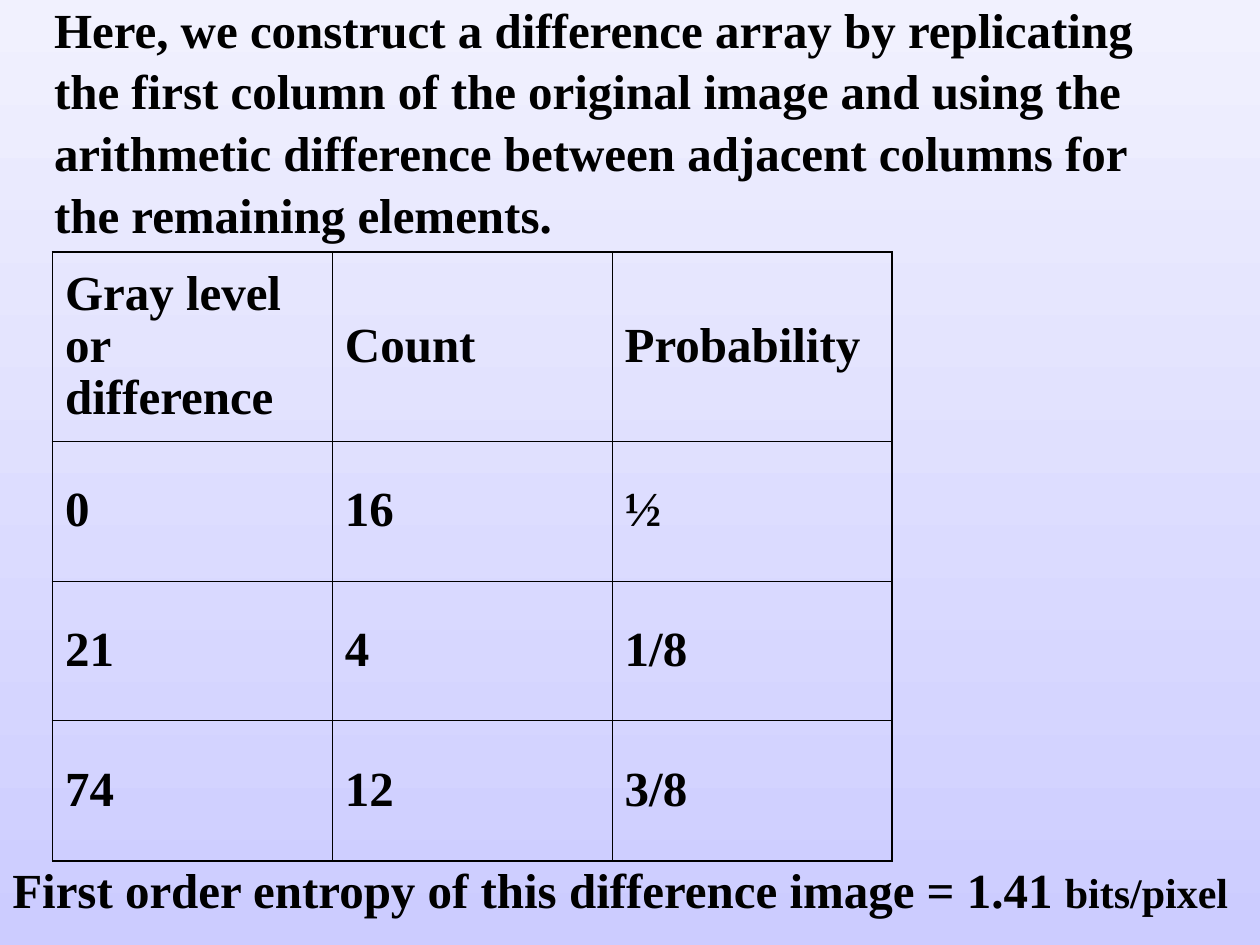
from dataclasses import dataclass

from lxml.etree import SubElement
from pptx import Presentation
from pptx.dml.color import RGBColor as RGB
from pptx.enum.text import MSO_ANCHOR as Anchor, MSO_AUTO_SIZE as AutoSize
from pptx.oxml.ns import qn
from pptx.util import Cm, Pt


@dataclass(frozen=True)
class Theme:
    font: str = "Times New Roman"
    ink: str = "000000"
    sky_top: str = "F1F1FE"
    sky_bottom: str = "CCCCFF"
    body: int = 28
    unit: int = 24
    outer_line: float = 1.08
    inner_line: float = 0.45
    text_spacing: float = 1.05
    table_spacing: float = 0.96


THEME = Theme()

INTRO = [(
    "Here, we construct a difference array by replicating the first column of "
    "the original image and using the arithmetic difference between adjacent "
    "columns for the remaining elements.", THEME.body)]
ENTROPY = [
    ("First order entropy of this difference image = 1.41 ", THEME.body),
    ("bits/pixel", THEME.unit)]
DISTRIBUTION = [
    ("Gray level or difference", "Count", "Probability"),
    ("0", "16", "½"),
    ("21", "4", "1/8"),
    ("74", "12", "3/8"),
]

# left, top, width, height in cm
INTRO_BOX = (0.84, -0.2, 22.86, 5)
ENTROPY_BOX = (0, 17.15, 25.4, 1.45)
TABLE_LEFT, TABLE_TOP = 1.06, 5.08
COLUMN_WIDTH, HEADER_HEIGHT, ROW_HEIGHT = 5.64, 3.81, 2.82


def write_runs(paragraph, runs, spacing):
    paragraph.line_spacing = spacing
    for words, size in runs:
        run = paragraph.add_run()
        run.text = words
        run.font.name = THEME.font
        run.font.size = Pt(size)
        run.font.bold = True
        run.font.color.rgb = RGB.from_string(THEME.ink)


def add_statement(slide, box, runs):
    frame = slide.shapes.add_textbox(*map(Cm, box)).text_frame
    frame.word_wrap = True
    frame.auto_size = AutoSize.SHAPE_TO_FIT_TEXT
    write_runs(frame.paragraphs[0], runs, THEME.text_spacing)


def draw_borders(cell, outer_sides):
    """Rule all four sides, heavier where the side is on the table's edge."""
    properties = cell._tc.get_or_add_tcPr()
    for side, is_outer in outer_sides.items():
        width = THEME.outer_line if is_outer else THEME.inner_line
        line = SubElement(properties, qn(f"a:ln{side}"), w=str(int(Pt(width))))
        fill = SubElement(line, qn("a:solidFill"))
        SubElement(fill, qn("a:srgbClr"), val=THEME.ink)


def add_distribution(slide):
    row_count, column_count = len(DISTRIBUTION), len(DISTRIBUTION[0])
    heights = [HEADER_HEIGHT] + [ROW_HEIGHT] * (row_count - 1)
    table = slide.shapes.add_table(
        row_count, column_count, Cm(TABLE_LEFT), Cm(TABLE_TOP),
        Cm(COLUMN_WIDTH * column_count), Cm(sum(heights))).table
    table.first_row = table.horz_banding = False
    for column in table.columns:
        column.width = Cm(COLUMN_WIDTH)
    for r, (values, height) in enumerate(zip(DISTRIBUTION, heights)):
        table.rows[r].height = Cm(height)
        for c, value in enumerate(values):
            cell = table.cell(r, c)
            cell.vertical_anchor = Anchor.MIDDLE
            draw_borders(cell, {"L": c == 0, "R": c == column_count - 1,
                                "T": r == 0, "B": r == row_count - 1})
            cell.fill.background()
            write_runs(cell.text_frame.paragraphs[0],
                       [(value, THEME.body)], THEME.table_spacing)


def paint_background(slide):
    fill = slide.background.fill
    fill.gradient()
    fill.gradient_angle = 270
    for stop, color, position in zip(
            fill.gradient_stops, (THEME.sky_top, THEME.sky_bottom), (0, 1)):
        stop.color.rgb = RGB.from_string(color)
        stop.position = position


def main():
    deck = Presentation()
    deck.slide_width, deck.slide_height = Cm(25.4), Cm(19.05)
    blank = deck.slide_layouts.get_by_name("Blank")
    slide = deck.slides.add_slide(blank)
    paint_background(slide)
    add_statement(slide, INTRO_BOX, INTRO)
    add_distribution(slide)
    add_statement(slide, ENTROPY_BOX, ENTROPY)
    deck.save("out.pptx")


if __name__ == "__main__":
    main()
